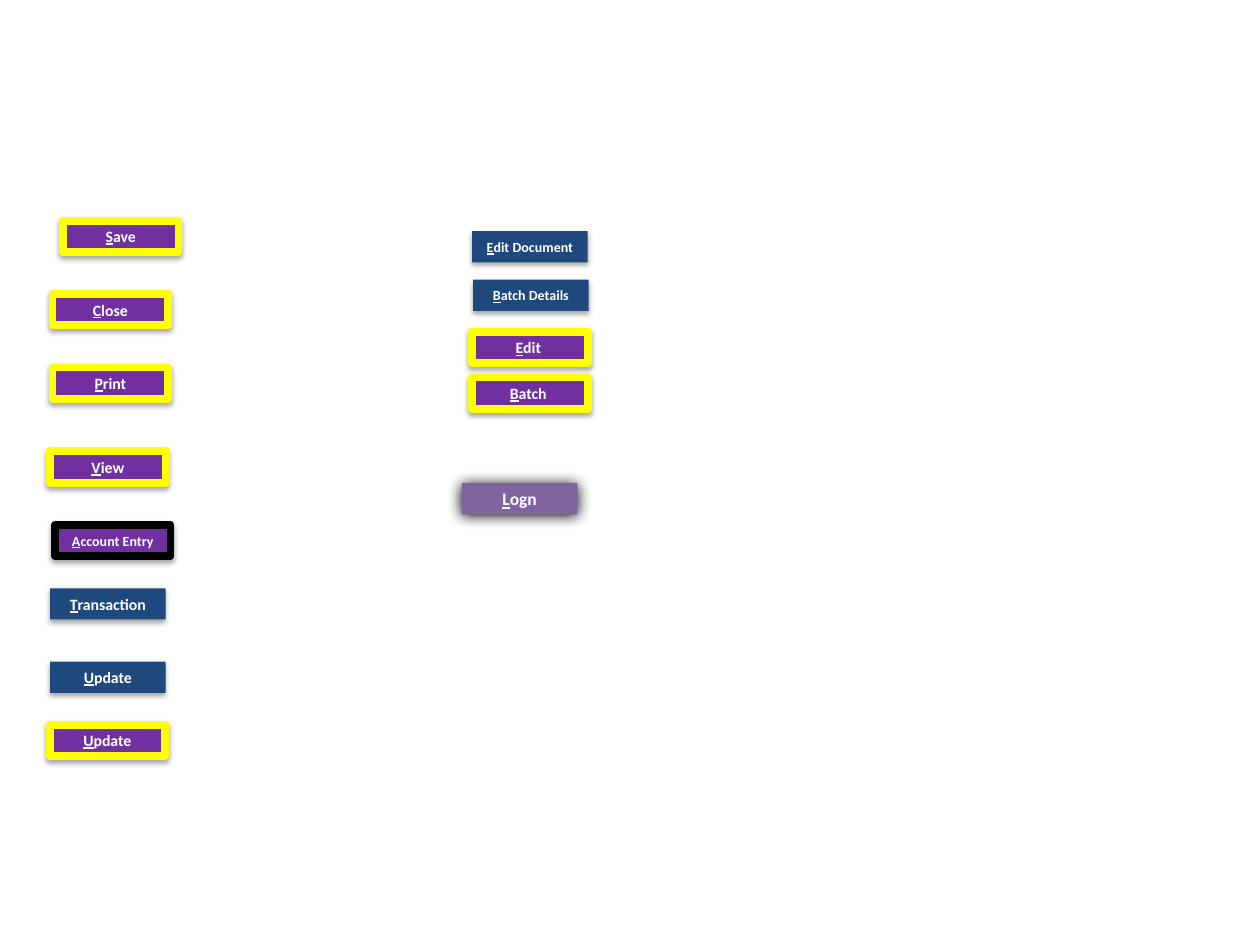
"""Build a slide of screen buttons with underlined shortcut letters."""
from lxml import etree
from pptx import Presentation
from pptx import util as u
from pptx.dml.color import RGBColor
from pptx.enum import shapes, text
from pptx.oxml import ns

COLORS = {"purple": "7030A0", "navy": "1F497D", "violet": "8064A2",
          "yellow": "FFFF00", "black": "000000", "white": "FFFFFF"}
SOFT = {"alpha": 35, "blur": 3.1, "distance": 1.8}
STRONG = {"alpha": 100, "blur": 8.5, "distance": 1}
STYLES = {
    "framed": {"fill": "purple", "line": "yellow", "shadow": SOFT},
    "dark framed": {"fill": "purple", "line": "black", "shadow": SOFT},
    "plain": {"fill": "navy", "line": None, "shadow": SOFT},
    "login": {"fill": "violet", "line": None, "shadow": STRONG},
}
WIDTH, HEIGHT = u.Cm(2.33), u.Cm(0.63)
BUTTONS = [
    ("Save", 1.27, 4.45, "framed", 9),
    ("Close", 1.06, 5.93, "framed", 9),
    ("Print", 1.06, 7.41, "framed", 9),
    ("View", 1.01, 9.1, "framed", 9),
    ("Account Entry", 1.11, 10.58, "dark framed", 8),
    ("Transaction", 1.01, 11.86, "plain", 9),
    ("Update", 1.01, 13.34, "plain", 9),
    ("Update", 1, 14.61, "framed", 9),
    ("Edit Document", 9.52, 4.66, "plain", 8),
    ("Batch Details", 9.54, 5.64, "plain", 8),
    ("Edit ", 9.52, 6.69, "framed", 9),
    ("Batch ", 9.52, 7.61, "framed", 9),
    ("Logn", 9.31, 9.74, "login", 10),
]
FRAME_FORMAT = {"margin_left": 0, "margin_right": 0, "margin_top": 0, "margin_bottom": 0,
                "word_wrap": True, "vertical_anchor": text.MSO_ANCHOR.MIDDLE}


def add_shadow(shape, alpha, blur, distance):
    """Give a shape a black shadow that falls straight down."""
    shape.shadow.inherit = False
    effects = shape._element.spPr.find(ns.qn("a:effectLst"))
    shadow = etree.SubElement(effects, ns.qn("a:outerShdw"), blurRad=str(u.Pt(blur)),
                              dist=str(u.Pt(distance)), dir="5400000", rotWithShape="0")
    color = etree.SubElement(shadow, ns.qn("a:srgbClr"), val=COLORS["black"])
    etree.SubElement(color, ns.qn("a:alpha"), val=str(alpha * 1000))


presentation = Presentation()
presentation.slide_width, presentation.slide_height = u.Cm(25.4), u.Cm(19.05)
slide = presentation.slides.add_slide(presentation.slide_layouts[6])

for label, left, top, style_name, size in BUTTONS:
    style = STYLES[style_name]
    shape = slide.shapes.add_shape(shapes.MSO_SHAPE.RECTANGLE, u.Cm(left), u.Cm(top), WIDTH, HEIGHT)
    shape.fill.solid()
    shape.fill.fore_color.rgb = RGBColor.from_string(COLORS[style["fill"]])
    if style["line"]:
        shape.line.color.rgb = RGBColor.from_string(COLORS[style["line"]])
        shape.line.width = u.Pt(4.5)
    else:
        shape.line.fill.background()
    add_shadow(shape, **style["shadow"])

    for attribute, value in FRAME_FORMAT.items():
        setattr(shape.text_frame, attribute, value)
    paragraph = shape.text_frame.paragraphs[0]
    paragraph.alignment = text.PP_ALIGN.CENTER
    for part, underlined in ((label[0], True), (label[1:], False)):
        run = paragraph.add_run()
        run.text = part
        font_format = {"name": "Calibri", "size": u.Pt(size), "bold": True, "underline": underlined}
        for attribute, value in font_format.items():
            setattr(run.font, attribute, value)
        run.font.color.rgb = RGBColor.from_string(COLORS["white"])

presentation.save("out.pptx")
